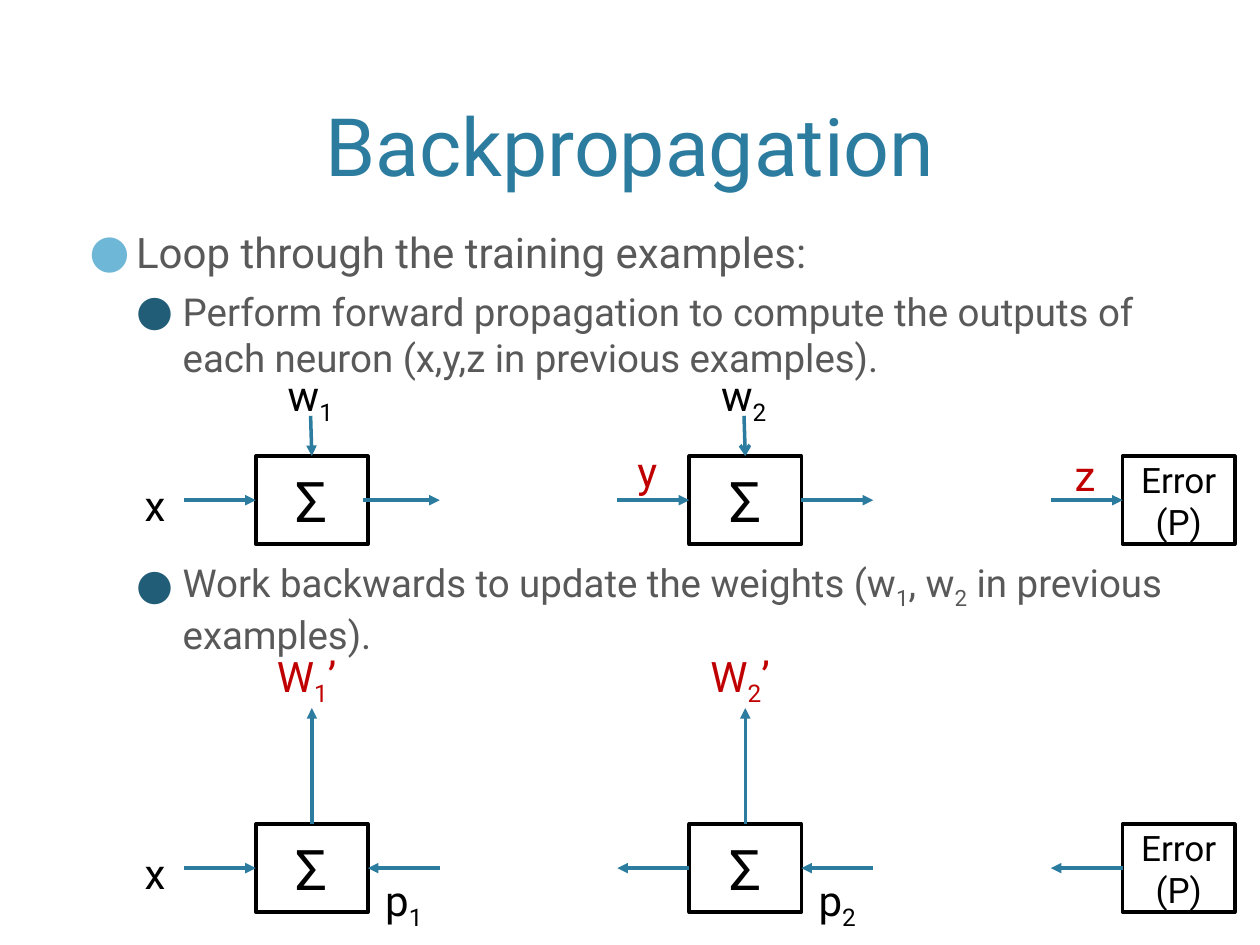
from dataclasses import dataclass

from lxml import etree
from pptx import Presentation
from pptx import util as u
from pptx.dml import color
from pptx.enum import shapes, text
from pptx.oxml import ns


@dataclass(frozen=True)
class Theme:
    font: str = "Roboto"
    accent: str = "2C7C9F"
    body: str = "595959"
    ink: str = "000000"
    paper: str = "FFFFFF"
    changed: str = "C00000"
    bullets: tuple = ("6FB7D7", "215D77")
    title_size: int = 46
    list_sizes: tuple = (24, 22)
    sum_size: int = 32
    error_size: int = 20
    label_size: int = 24
    line: int = 2


TOP, LEFT, BOTTOM, RIGHT = range(4)


class SlideBuilder:
    """Style and current slide; lengths are cells of a 100 by 75 grid."""

    def __init__(self, deck, theme):
        self.theme = theme
        self.cell = deck.slide_width / 100
        self.page = deck.slides.add_slide(deck.slide_layouts[1])

    def grid(self, *cells):
        return [u.Emu(round(cell * self.cell)) for cell in cells]

    def place(self, shape, *cells):
        shape.left, shape.top, shape.width, shape.height = self.grid(*cells)

    def set_text(self, para, content, size, ink):
        """Fill a paragraph; a character after an underscore is a subscript."""
        plain, *marked = content.split("_")
        para.add_run().text = plain
        for part in marked:
            span = para.add_run()
            span.text = part[0]
            span.font._element.set("baseline", "-25000")
            if part[1:]:
                para.add_run().text = part[1:]
        para.font.name = self.theme.font
        para.font.size = u.Pt(size)
        para.font.color.rgb = color.RGBColor.from_string(ink)

    def bullet(self, para, level):
        props = para._p.get_or_add_pPr()
        props.set("marL", str(u.Inches(0.38 + 0.37 * level)))
        props.set("indent", str(-u.Inches(0.37)))
        tint = etree.SubElement(props, ns.qn("a:buClr"))
        etree.SubElement(tint, ns.qn("a:srgbClr"), val=self.theme.bullets[level])
        etree.SubElement(props, ns.qn("a:buSzPct"), val="110000")
        etree.SubElement(props, ns.qn("a:buFont"), typeface=self.theme.font)
        etree.SubElement(props, ns.qn("a:buChar"), char="●")

    def title(self, content, *cells):
        title = self.page.shapes.title
        self.place(title, *cells)
        title.text_frame.vertical_anchor = text.MSO_ANCHOR.BOTTOM
        para = title.text_frame.paragraphs[0]
        para.alignment = text.PP_ALIGN.CENTER
        self.set_text(para, content, self.theme.title_size, self.theme.accent)

    def bullets(self, items, *cells):
        body = self.page.placeholders[1]
        self.place(body, *cells)
        frame = body.text_frame
        frame.auto_size = text.MSO_AUTO_SIZE.NONE
        for index, (level, before, content) in enumerate(items):
            para = frame.add_paragraph() if index else frame.paragraphs[0]
            para.level = level
            para.space_before = u.Pt(before)
            self.bullet(para, level)
            self.set_text(para, content, self.theme.list_sizes[level],
                          self.theme.body)

    def box(self, content, size, *cells):
        box = self.page.shapes.add_shape(
            shapes.MSO_SHAPE.RECTANGLE, *self.grid(*cells))
        box.shadow.inherit = False
        box.fill.solid()
        box.fill.fore_color.rgb = color.RGBColor.from_string(self.theme.paper)
        box.line.color.rgb = color.RGBColor.from_string(self.theme.ink)
        box.line.width = u.Pt(self.theme.line)
        box.text_frame.vertical_anchor = text.MSO_ANCHOR.MIDDLE
        para = box.text_frame.paragraphs[0]
        para.alignment = text.PP_ALIGN.CENTER
        self.set_text(para, content, size, self.theme.ink)
        return box

    def label(self, content, left, top, width, ink=None, centred=False):
        frame = self.page.shapes.add_textbox(
            *self.grid(left, top, width, 5)).text_frame
        frame.word_wrap = True
        para = frame.paragraphs[0]
        if centred:
            para.alignment = text.PP_ALIGN.CENTER
        self.set_text(para, content, self.theme.label_size, ink or self.theme.ink)

    def arrow(self, start, end, source=None, target=None, head="triangle"):
        """Draw an arrow; source and target are (box, side) pairs to join."""
        arrow = self.page.shapes.add_connector(
            shapes.MSO_CONNECTOR.STRAIGHT, *self.grid(*start, *end))
        arrow.line.color.rgb = color.RGBColor.from_string(self.theme.accent)
        arrow.line.width = u.Pt(self.theme.line)
        etree.SubElement(arrow.line._get_or_add_ln(), ns.qn("a:tailEnd"), type=head)
        etree.SubElement(arrow._element.spPr, ns.qn("a:effectLst"))
        if source:
            arrow.begin_connect(*source)
        if target:
            arrow.end_connect(*target)


# Diagram grid: three boxes per row, evenly spaced
BOX_W, BOX_H, PITCH, REACH = 8.9, 7, 34.4, 5.7
LEFTS = [20.3 + PITCH * column for column in range(3)]


def box_row(slide, top):
    """Add the boxes and input of one pass; return boxes and mid height."""
    theme = slide.theme
    captions = [("Σ", theme.sum_size)] * 2 + [("Error (P)", theme.error_size)]
    boxes = [slide.box(caption, size, left, top, BOX_W, BOX_H)
             for left, (caption, size) in zip(LEFTS, captions)]
    middle = top + BOX_H / 2
    slide.label("x", 10.5, top + 1.4, 4.1)
    slide.arrow((LEFTS[0] - REACH, middle), (LEFTS[0], middle),
                target=(boxes[0], LEFT))
    return boxes, middle


def forward_pass(slide, top):
    boxes, middle = box_row(slide, top)
    for number, (box, left) in enumerate(zip(boxes[:2], LEFTS), 1):
        centre, right = left + BOX_W / 2, left + BOX_W
        slide.label(f"w_{number}", left + 1.55, top - 7.4, 6.5)
        slide.arrow((centre - 0.1, top - 3.2), (centre, top), target=(box, TOP),
                    head="triangle" if number == 1 else "arrow")
        if number == 1:  # the first output starts just inside its box
            slide.arrow((right - 0.4, middle), (right + REACH, middle))
        else:
            slide.arrow((right, middle), (right + REACH, middle),
                        source=(box, RIGHT))
    for box, left in zip(boxes[1:], LEFTS[1:]):
        slide.arrow((left - REACH, middle), (left, middle), target=(box, LEFT))
    slide.label("y", 49.6, top - 1.3, 4.1, slide.theme.changed)
    slide.label("z", 84.3, top - 1, 4.1, slide.theme.changed)


def backward_pass(slide, top):
    boxes, middle = box_row(slide, top)
    for number, (box, left) in enumerate(zip(boxes[:2], LEFTS), 1):
        centre, right = left + BOX_W / 2, left + BOX_W
        slide.label(f"W_{number}’", left + 0.7, top - 14.3, 7.6,
                    slide.theme.changed)
        slide.arrow((centre, top), (centre, top - 9.2), source=(box, TOP))
        slide.arrow((right + REACH, middle), (right, middle), target=(box, RIGHT))
        slide.label(f"p_{number}", right - 0.3, middle, 6.3, centred=True)
    for box, left in zip(boxes[1:], LEFTS[1:]):
        slide.arrow((left, middle), (left - REACH, middle), source=(box, LEFT))


def main():
    deck = Presentation()
    deck.slide_width, deck.slide_height = u.Inches(10), u.Inches(7.5)
    slide = SlideBuilder(deck, Theme())

    # Title and list; the wide gap leaves room for the forward pass
    slide.title("Backpropagation", 6, 1.2, 88, 14.6)
    slide.bullets([
        (0, 0, "Loop through the training examples:"),
        (1, 6, "Perform forward propagation to compute the outputs of "
               "each neuron (x,y,z in previous examples)."),
        (1, 102, "Work backwards to update the weights (w_1, w_2 in previous "
                 "examples)."),
    ], 6, 17.5, 88, 47.5)

    # Diagrams
    forward_pass(slide, 36.2)
    backward_pass(slide, 65.4)
    deck.save("out.pptx")


if __name__ == "__main__":
    main()
